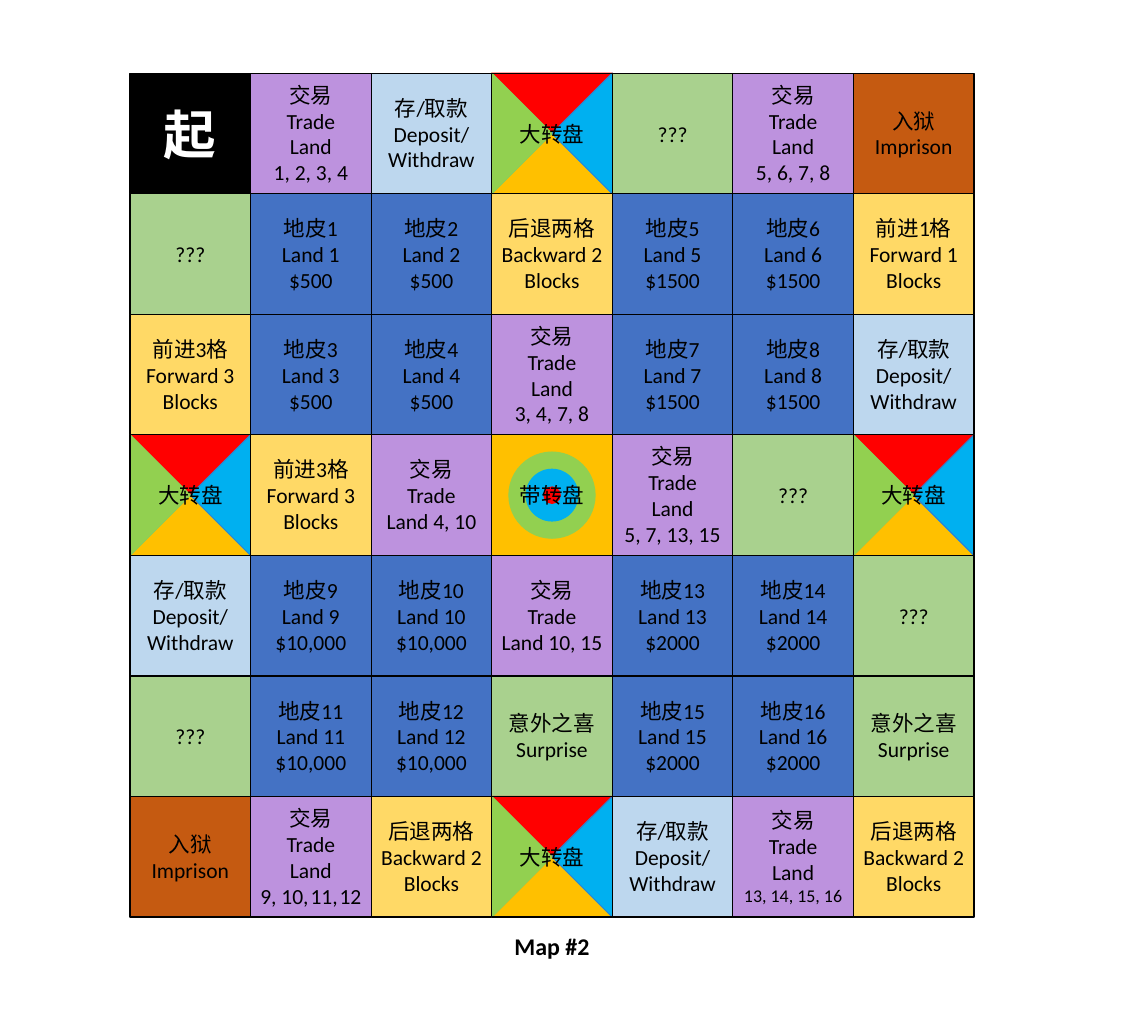
from dataclasses import dataclass

from lxml.etree import SubElement
from pptx import Presentation
from pptx.dml.color import RGBColor
from pptx.enum.shapes import MSO_CONNECTOR, MSO_SHAPE as Shape
from pptx.enum.text import MSO_ANCHOR, PP_ALIGN
from pptx.oxml.ns import qn
from pptx.util import Inches, Pt

LEFT, TOP, CELL = 1.51, 0.85, 1.4
BLACK, WHITE, BLUE = "000000", "FFFFFF", "4472C4"
PURPLE, PALE_BLUE, PALE_GREEN = "BD92DE", "BDD7EE", "A9D18E"
YELLOW, BROWN = "FFD966", "C55A11"
RED, AMBER, SKY, GREEN = "FF0000", "FFC000", "00B0F0", "92D050"
PRICES = ["$500", "$1500", "$10,000", "$2000"]


@dataclass(frozen=True)
class Run:
    text: str
    size: float


@dataclass(frozen=True)
class Tile:
    lines: tuple
    fill: str | None = None
    size: float = 18
    color: str = BLACK
    bold: bool = False
    wheel: str = ""


@dataclass(frozen=True)
class Wedge:
    dx: float
    dy: float
    angle: int
    fill: str


@dataclass(frozen=True)
class Ring:
    size: float
    fill: str


WEDGES = [
    Wedge(0, -CELL / 4, 180, RED),
    Wedge(0, CELL / 4, 0, AMBER),
    Wedge(CELL / 4, 0, 270, SKY),
    Wedge(-CELL / 4, 0, 90, GREEN),
]
RINGS = [Ring(1, GREEN), Ring(0.6, SKY), Ring(0.19, RED)]


def rgb(color: str) -> RGBColor:
    return RGBColor.from_string(color)


def write(tf, lines, *, size: float = 18, color: str = BLACK, bold: bool = False) -> None:
    tf.word_wrap = True
    for i, line in enumerate(lines):
        p = tf.paragraphs[0] if i == 0 else tf.add_paragraph()
        p.alignment = PP_ALIGN.CENTER
        for part in [Run(line, size)] if isinstance(line, str) else line:
            r = p.add_run()
            r.text = part.text
            r.font.name = "Calibri"
            r.font.size = Pt(part.size)
            r.font.bold = bold
            r.font.color.rgb = rgb(color)


def add_centred(kind, cx: float, cy: float, w: float, h: float, fill: str | None, line: str):
    s = shapes.add_shape(kind, Inches(cx - w / 2), Inches(cy - h / 2), Inches(w), Inches(h))
    s.shadow.inherit = False
    if fill:
        s.fill.solid()
        s.fill.fore_color.rgb = rgb(fill)
    else:
        s.fill.background()
    s.line.color.rgb = rgb(line)
    s.line.width = Pt(1)
    return s


def add_spinner(cx: float, cy: float) -> None:
    half = CELL / 2
    for wedge in WEDGES:
        s = add_centred(Shape.ISOSCELES_TRIANGLE, cx + wedge.dx, cy + wedge.dy,
                        CELL, half, wedge.fill, wedge.fill)
        s.rotation = wedge.angle
        if wedge.fill == SKY:
            for side in (half, -half):
                c = shapes.add_connector(MSO_CONNECTOR.STRAIGHT, Inches(cx + side), Inches(cy - half),
                                         Inches(cx - side), Inches(cy + half))
                c.line.color.rgb = rgb(BLUE)
                c.line.width = Pt(0.5)
                SubElement(c._element.spPr, qn("a:effectLst"))


def add_target(cx: float, cy: float) -> None:
    add_centred(Shape.RECTANGLE, cx, cy, CELL, CELL, AMBER, AMBER)
    for ring in RINGS:
        add_centred(Shape.OVAL, cx, cy, ring.size, ring.size, ring.fill, ring.fill)


def add_tile(tile: Tile, row: int, col: int) -> None:
    cx, cy = LEFT + (col + 0.5) * CELL, TOP + (row + 0.5) * CELL
    if tile.wheel == "spinner":
        add_spinner(cx, cy)
    elif tile.wheel == "target":
        add_target(cx, cy)
    s = add_centred(Shape.RECTANGLE, cx, cy, CELL, CELL, tile.fill, BLACK)
    s.text_frame.vertical_anchor = MSO_ANCHOR.MIDDLE
    write(s.text_frame, tile.lines, size=tile.size, color=tile.color, bold=tile.bold)


def land(n: int) -> Tile:
    return Tile((f"地皮{n}", f"Land {n}", PRICES[(n - 1) // 4]), BLUE)


def trade(*lines) -> Tile:
    return Tile(("交易", "Trade", *lines), PURPLE)


def forward(n: int) -> Tile:
    return Tile((f"前进{n}格", f"Forward {n} Blocks"), YELLOW)


START = Tile(("起",), BLACK, size=44, color=WHITE, bold=True)
MYSTERY = Tile(("???",), PALE_GREEN)
SURPRISE = Tile(("意外之喜", "Surprise"), PALE_GREEN)
BANK = Tile(("存/取款", "Deposit/", "Withdraw"), PALE_BLUE)
PRISON = Tile(("入狱", "Imprison"), BROWN)
BACKWARD = Tile(("后退两格", "Backward 2 Blocks"), YELLOW)
SPINNER = Tile(("大转盘",), wheel="spinner")
TARGET = Tile(("带转盘",), wheel="target")
THIN_SPACE = Run(" ", 7)
LANDS_9_TO_12 = [Run("9, 10,", 18), THIN_SPACE, Run("11,", 18), THIN_SPACE, Run("12", 18)]
LANDS_13_TO_16 = [Run("13, 14, 15, 16", 15)]

BOARD = [
    [START, trade("Land", "1, 2, 3, 4"), BANK, SPINNER, MYSTERY, trade("Land", "5, 6, 7, 8"), PRISON],
    [MYSTERY, land(1), land(2), BACKWARD, land(5), land(6), forward(1)],
    [forward(3), land(3), land(4), trade("Land", "3, 4, 7, 8"), land(7), land(8), BANK],
    [SPINNER, forward(3), trade("Land 4, 10"), TARGET, trade("Land", "5, 7, 13, 15"), MYSTERY, SPINNER],
    [BANK, land(9), land(10), trade("Land 10, 15"), land(13), land(14), MYSTERY],
    [MYSTERY, land(11), land(12), SURPRISE, land(15), land(16), SURPRISE],
    [PRISON, trade("Land", LANDS_9_TO_12), BACKWARD, SPINNER, BANK, trade("Land", LANDS_13_TO_16), BACKWARD],
]

prs = Presentation()
prs.slide_width, prs.slide_height = Inches(13.33), Inches(11.81)
shapes = prs.slides.add_slide(prs.slide_layouts[6]).shapes

for row, tiles in enumerate(BOARD):
    for col, tile in enumerate(tiles):
        add_tile(tile, row, col)

caption = shapes.add_textbox(Inches(LEFT), Inches(10.77), Inches(7 * CELL), Inches(0.44))
write(caption.text_frame, ["Map #2"], size=20, bold=True)

prs.save("out.pptx")
